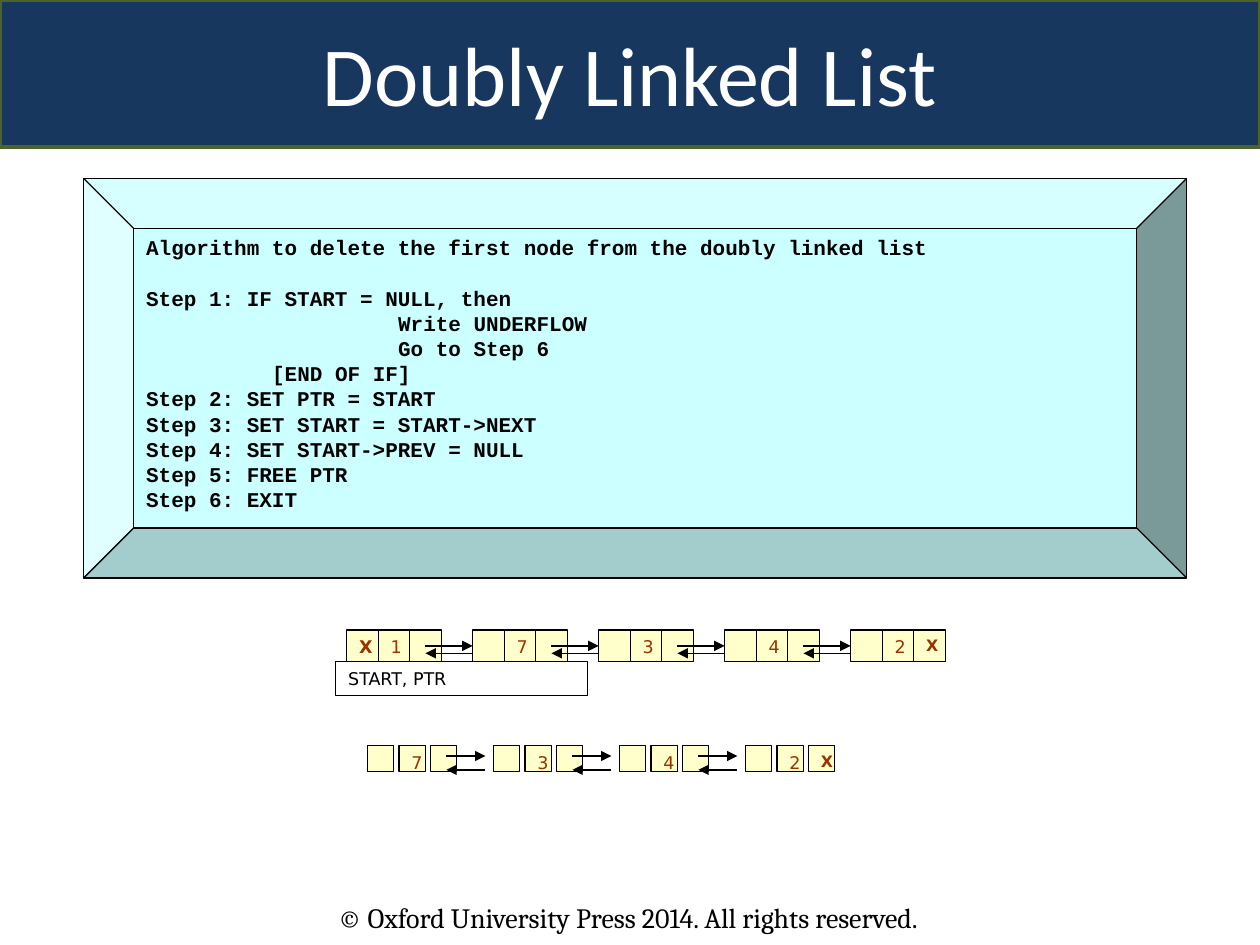
"""Build the slide on deleting the first node of a doubly linked list."""
from lxml import etree
from pptx import Presentation
from pptx.dml.color import RGBColor
from pptx.enum.shapes import MSO_CONNECTOR, MSO_SHAPE
from pptx.enum.text import MSO_ANCHOR, PP_ALIGN
from pptx.oxml.ns import qn
from pptx.util import Cm, Pt

RECT, ROUND, BEVEL = MSO_SHAPE.RECTANGLE, MSO_SHAPE.ROUNDED_RECTANGLE, MSO_SHAPE.BEVEL
STRAIGHT = MSO_CONNECTOR.STRAIGHT
TOP, MIDDLE = MSO_ANCHOR.TOP, MSO_ANCHOR.MIDDLE
LEFT, CENTER = PP_ALIGN.LEFT, PP_ALIGN.CENTER

TITLE = "Doubly Linked List"
FOOTER = "© Oxford University Press 2014. All rights reserved."
POINTERS = "START, PTR"
# (indent level, text)
ALGORITHM = [
    (0, "Algorithm to delete the first node from the doubly linked list"),
    (0, "Step 1: IF START = NULL, then"),
    (2, "Write UNDERFLOW"),
    (2, "Go to Step 6"),
    (1, "[END OF IF]"),
    (0, "Step 2: SET PTR = START"),
    (0, "Step 3: SET START = START->NEXT"),
    (0, "Step 4: SET START->PREV = NULL"),
    (0, "Step 5: FREE PTR"),
    (0, "Step 6: EXIT"),
]
LISTS = [
    dict(nodes=[("X", "1", ""), ("", "7", ""), ("", "3", ""), ("", "4", ""), ("", "2", "X")],
         left=6.99, top=12.7, cell=0.64, next_y=0.32, prev_y=0.47, reach=0.95),
    dict(nodes=[("", "7", ""), ("", "3", ""), ("", "4", ""), ("", "2", "X")],
         left=7.41, top=15.03, cell=0.53, next_y=0.21, prev_y=0.49, reach=0.79),
]
PITCH = 2.54
SLOT = PITCH / 4
ARROW_START = 2.5 * SLOT

THEME = dict(
    navy="17375E", olive="4F6228", aqua="CCFFFF", cream="FFFFCC",
    rust="993300", black="000000", white="FFFFFF",
    title=48, footer=16, code=12, node=10, end=9, line=0.75, code_pitch=14.4,
    title_font="Calibri", footer_font="Cambria", code_font="Courier New", node_font="DejaVu Sans",
)


def color(name):
    return RGBColor.from_string(THEME[name])


def write(sp, lines, *, font, size, ink="black", bold=False, align=LEFT,
          anchor=TOP, pitch=None, gap_before=None):
    tf = sp.text_frame
    tf.word_wrap = True
    tf.vertical_anchor = anchor
    for i, (level, text) in enumerate(lines):
        p = tf.add_paragraph() if i else tf.paragraphs[0]
        p.alignment = align
        if level:
            p._p.get_or_add_pPr().set("marL", str(Cm(level * PITCH)))
        if pitch:
            p.line_spacing = Pt(pitch)
        if i == gap_before:
            p.space_before = Pt(pitch)
        r = p.add_run()
        r.text = text
        r.font.name, r.font.size, r.font.bold = font, Pt(size), bold
        r.font.color.rgb = color(ink)


def add_box(shapes, kind, box, fill=None, line="black", width=THEME["line"]):
    sp = shapes.add_shape(kind, *map(Cm, box))
    sp.shadow.inherit = False
    if fill:
        sp.fill.solid()
        sp.fill.fore_color.rgb = color(fill)
    else:
        sp.fill.background()
    sp.line.color.rgb = color(line)
    sp.line.width = Pt(width)
    return sp


def add_arrow(shapes, x1, x2, y):
    c = shapes.add_connector(STRAIGHT, Cm(x1), Cm(y), Cm(x2), Cm(y))
    c.line.color.rgb = color("black")
    c.line.width = Pt(THEME["line"])
    etree.SubElement(c.line._get_or_add_ln(), qn("a:tailEnd"), type="triangle")
    etree.SubElement(c._element.spPr, qn("a:effectLst"))


def add_list(s, nodes, left, top, cell, next_y, prev_y, reach):
    shapes = s.shapes.add_group_shape().shapes
    for i, node in enumerate(nodes):
        x = left + i * PITCH
        for j, value in enumerate(node):
            sp = add_box(shapes, RECT, (x + j * SLOT, top, cell, cell), "cream")
            if value:
                write(sp, [(0, value)], font=THEME["node_font"], ink="rust",
                      size=THEME["end" if j == 2 else "node"], bold=value == "X")
    for i in range(len(nodes) - 1):
        start = left + i * PITCH + ARROW_START
        add_arrow(shapes, start, start + reach, top + next_y)
        add_arrow(shapes, start + reach, start, top + prev_y)


def main():
    prs = Presentation()
    prs.slide_width, prs.slide_height = Cm(25.4), Cm(19.05)
    s = prs.slides.add_slide(prs.slide_layouts[6])

    footer = s.shapes.add_textbox(Cm(6.56), Cm(18.03), Cm(15.03), Cm(0.94))
    write(footer, [(0, FOOTER)], font=THEME["footer_font"], size=THEME["footer"])

    banner = add_box(s.shapes, ROUND, (0, 0, 25.4, 2.96), "navy", "olive", 2)
    banner.adjustments[0] = 0
    write(banner, [(0, TITLE)], font=THEME["title_font"], size=THEME["title"],
          ink="white", align=CENTER, anchor=MIDDLE)

    panel = add_box(s.shapes, BEVEL, (1.69, 3.6, 22.23, 8.05), "aqua")
    panel.adjustments[0] = 0.125
    write(panel, ALGORITHM, font=THEME["code_font"], size=THEME["code"], bold=True,
          pitch=THEME["code_pitch"], gap_before=1)

    for row in LISTS:
        add_list(s, **row)

    label = add_box(s.shapes, RECT, (6.77, 13.34, 5.08, 0.68))
    write(label, [(0, POINTERS)], font=THEME["node_font"], size=THEME["node"], anchor=MIDDLE)

    prs.save("out.pptx")


if __name__ == "__main__":
    main()
